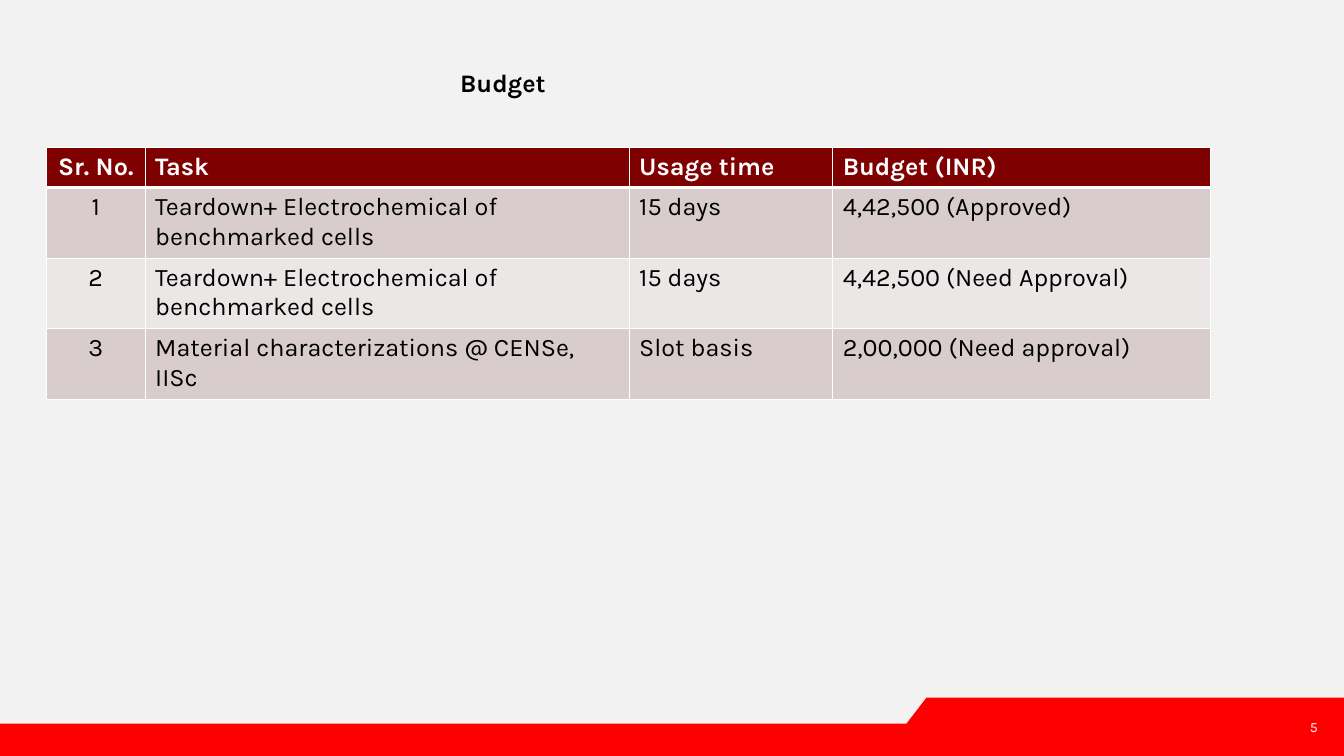
from lxml.etree import SubElement
from pptx import Presentation
from pptx.dml.color import RGBColor
from pptx.enum.text import MSO_ANCHOR as Anchor, PP_ALIGN as Align
from pptx.oxml.ns import qn
from pptx.util import Inches, Pt

BACKGROUND = RGBColor(0xF2, 0xF2, 0xF2)
RED = RGBColor(0xFF, 0x00, 0x00)
MAROON = RGBColor(0x7F, 0x00, 0x00)
ROSE = RGBColor(0xD8, 0xCC, 0xCC)
PALE_ROSE = RGBColor(0xEC, 0xE7, 0xE7)
WHITE = RGBColor(0xFF, 0xFF, 0xFF)
BLACK = RGBColor(0x00, 0x00, 0x00)

BANNER_POINTS = [(9.19, 6.92), (13.33, 6.92), (13.33, 7.5), (0, 7.5), (0, 7.18), (8.99, 7.18)]
COLUMN_WIDTHS = [0.98, 4.8, 2.02, 3.75]
ROW_HEIGHTS = [0.39, 0.7, 0.7, 0.7]
BUDGET_ROWS = [
    ("Sr. No. ", "Task", "Usage time", "Budget (INR)"),
    ("1", "Teardown+ Electrochemical of benchmarked cells", "15 days", "4,42,500 (Approved)"),
    ("2", "Teardown+ Electrochemical of benchmarked cells", "15 days", "4,42,500 (Need Approval)"),
    ("3", "Material characterizations @ CENSe, IISc", "Slot basis", "2,00,000 (Need approval)"),
]


class BudgetSlide:
    font_name = "Karla"
    body_size = 18

    def __init__(self, deck):
        self.slide = deck.slides.add_slide(deck.slide_layouts[6])
        fill = self.slide.background.fill
        fill.solid()
        fill.fore_color.rgb = BACKGROUND

    def add_words(self, frame, words, color, align, size=body_size, bold=False):
        paragraph = frame.paragraphs[0]
        paragraph.alignment = align
        run = paragraph.add_run()
        run.text = words
        run.font.name = self.font_name
        run.font.size = Pt(size)
        run.font.bold = bold
        run.font.color.rgb = color

    def text(self, box, words, color, align, anchor, margin=None, wrap=True, **style):
        frame = self.slide.shapes.add_textbox(*map(Inches, box)).text_frame
        frame.word_wrap = wrap
        frame.vertical_anchor = anchor
        if margin is not None:
            frame.margin_left = frame.margin_right = Inches(margin)
            frame.margin_top = frame.margin_bottom = Inches(margin)
        self.add_words(frame, words, color, align, **style)

    def outline(self, points, color):
        corners = [(Inches(x), Inches(y)) for x, y in points]
        builder = self.slide.shapes.build_freeform(*corners[0])
        builder.add_line_segments(corners[1:], close=True)
        banner = builder.convert_to_shape()
        banner.shadow.inherit = False
        banner.fill.solid()
        banner.fill.fore_color.rgb = color
        banner.line.fill.background()

    def borders(self, cell, widths):
        properties = cell._tc.get_or_add_tcPr()
        for side, width in widths.items():
            line = SubElement(properties, qn(f"a:ln{side}"), w=str(Pt(width)))
            solid = SubElement(line, qn("a:solidFill"))
            SubElement(solid, qn("a:srgbClr"), val=str(WHITE))

    def table(self, left, top, rows, widths, heights):
        size = Inches(sum(widths)), Inches(sum(heights))
        grid = self.slide.shapes.add_table(
            len(rows), len(widths), Inches(left), Inches(top), *size).table
        for column, width in zip(grid.columns, widths):
            column.width = Inches(width)
        for row, height in zip(grid.rows, heights):
            row.height = Inches(height)
        for r, entries in enumerate(rows):
            header = r == 0
            shade = MAROON if header else (PALE_ROSE, ROSE)[r % 2]
            for c, entry in enumerate(entries):
                cell = grid.cell(r, c)
                self.borders(cell, {"L": 1, "R": 1, "T": 3 if r == 1 else 1, "B": 3 if header else 1})
                cell.fill.solid()
                cell.fill.fore_color.rgb = shade
                self.add_words(cell.text_frame, entry, WHITE if header else BLACK,
                               Align.LEFT if c else Align.CENTER, bold=header)


def main():
    deck = Presentation()
    deck.slide_width = Inches(13.33)
    deck.slide_height = Inches(7.5)
    budget = BudgetSlide(deck)
    budget.outline(BANNER_POINTS, RED)
    budget.text((12.65, 7.13, 0.42, 0.17), "5", WHITE, Align.RIGHT, Anchor.BOTTOM,
                margin=0, wrap=False, size=10)
    budget.table(0.46, 1.46, BUDGET_ROWS, COLUMN_WIDTHS, ROW_HEIGHTS)
    budget.text((3.49, 0.6, 3.06, 0.43), "Budget ", BLACK, Align.CENTER, Anchor.MIDDLE, bold=True)
    deck.save("out.pptx")


if __name__ == "__main__":
    main()
